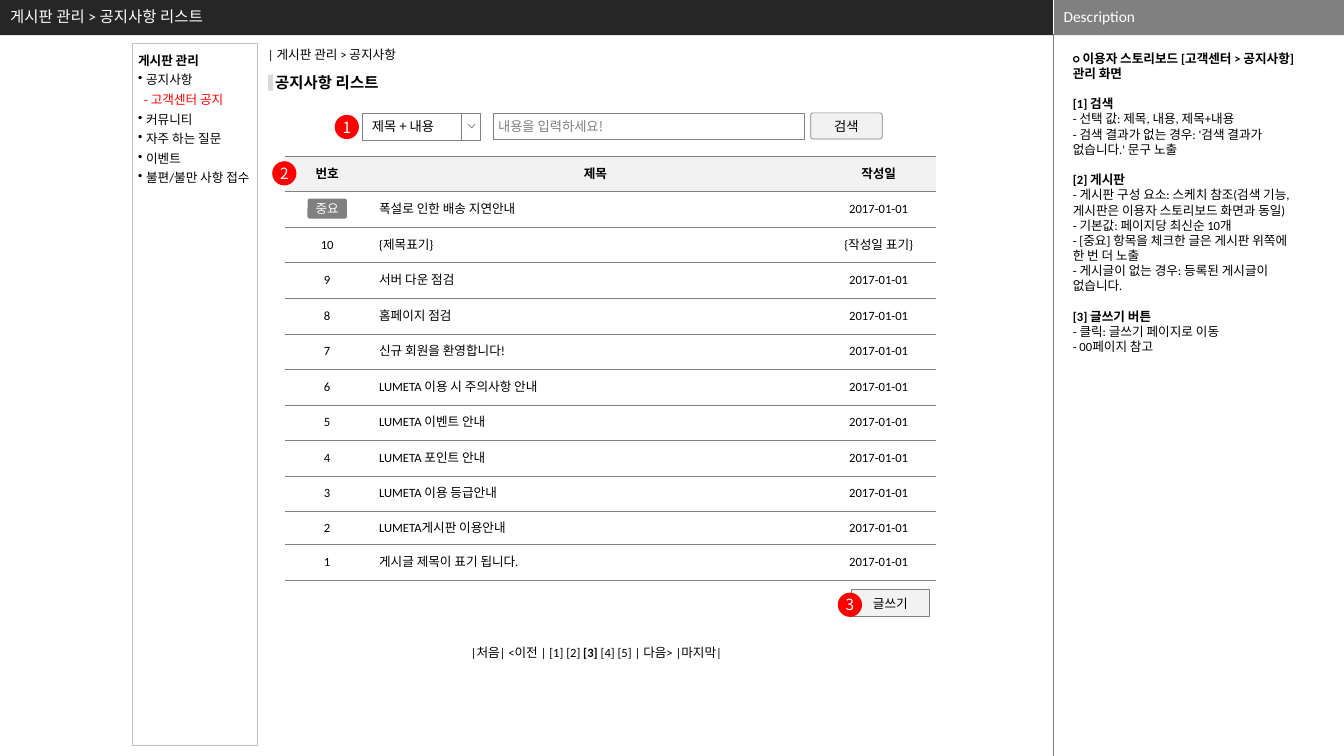
"""Build a storyboard slide for the notice list of a bulletin board admin page."""
from dataclasses import dataclass

from lxml import etree
from pptx import Presentation
from pptx import util as u
from pptx.dml.color import RGBColor
from pptx.enum import shapes, text
from pptx.oxml.ns import qn


@dataclass(frozen=True)
class Theme:
    latin: str = "Calibri"
    korean: str = "Noto Sans CJK KR"
    black: str = "000000"
    white: str = "FFFFFF"
    dark: str = "262626"
    gray: str = "808080"
    frame: str = "BFBFBF"
    marker: str = "D9D9D9"
    pale: str = "F2F2F2"
    red: str = "FF0000"
    small: float = 9
    field: float = 9.5
    large: float = 11
    hairline: float = 0.25
    thin: float = 0.5
    border: float = 0.75


theme = Theme()
kinds = shapes.MSO_SHAPE
middle, top = text.MSO_ANCHOR.MIDDLE, text.MSO_ANCHOR.TOP
left, center = text.PP_ALIGN.LEFT, text.PP_ALIGN.CENTER

deck = Presentation()
deck.slide_width, deck.slide_height = u.Inches(13.33), u.Inches(7.5)
page = deck.slides.add_slide(deck.slide_layouts[1])


def write(para, words, size=theme.small, color=theme.black, font=theme.latin, bold=False, align=left):
    para.alignment = align
    span = para.add_run()
    span.text = words
    span.font.size, span.font.bold, span.font.name = u.Pt(size), bold, font
    span.font.color.rgb = RGBColor.from_string(color)
    etree.SubElement(span.font._element, qn("a:ea"), typeface=font)


def add_box(place, kind=kinds.RECTANGLE, fill=None, line=None, width=theme.thin,
            margins=(0, 0), wrap=True, anchor=middle, corner=None):
    place = [u.Inches(value) for value in place]
    if kind is None:
        box = page.shapes.add_textbox(*place)
    else:
        box = page.shapes.add_shape(kind, *place)
        box.shadow.inherit = False
        if fill:
            box.fill.solid()
            box.fill.fore_color.rgb = RGBColor.from_string(fill)
        else:
            box.fill.background()
        if line:
            box.line.color.rgb = RGBColor.from_string(line)
            box.line.width = u.Pt(width)
        else:
            box.line.fill.background()
        if corner is not None:
            box.adjustments[0] = corner
    frame = box.text_frame
    frame.word_wrap, frame.vertical_anchor = wrap, anchor
    frame.margin_left = frame.margin_right = u.Inches(margins[0])
    frame.margin_top = frame.margin_bottom = u.Inches(margins[1])
    return box


split = 10.45
add_box((0, 0, split, 0.35), fill=theme.dark)
add_box((split, 0, 2.89, 0.35), fill=theme.gray)
for start, end, color in ((0, 0.35, theme.white), (0.34, 7.5, theme.gray)):
    divider = page.shapes.add_connector(shapes.MSO_CONNECTOR.STRAIGHT, u.Inches(split),
                                        u.Inches(start), u.Inches(split), u.Inches(end))
    divider.line.color.rgb = RGBColor.from_string(color)
    divider.line.width = u.Pt(theme.hairline)
    etree.SubElement(divider._element.spPr, qn("a:effectLst"))

title = page.shapes.title
title.left, title.top, title.width, title.height = map(u.Inches, (0, 0, 10.16, 0.35))
title.text_frame.auto_size = text.MSO_AUTO_SIZE.NONE
title.text_frame.vertical_anchor = middle
title.text_frame.paragraphs[0].line_spacing = 0.9
write(title.text_frame.paragraphs[0], "게시판 관리 > 공지사항 리스트", size=theme.large, color=theme.white)
title.element.getparent().append(title.element)

label = add_box((split, -0.01, 2.89, 0.35), None, margins=(0.1, 0.05))
write(label.text_frame.paragraphs[0], "Description", size=theme.large, color=theme.white)

notes = (
    "○ 이용자 스토리보드 [고객센터 > 공지사항] 관리 화면",
    "[1] 검색",
    "- 선택 값: 제목, 내용, 제목+내용",
    "- 검색 결과가 없는 경우: '검색 결과가 없습니다.' 문구 노출",
    "[2] 게시판",
    "- 게시판 구성 요소: 스케치 참조(검색 기능, 게시판은 이용자 스토리보드 화면과 동일)",
    "- 기본값: 페이지당 최신순 10개",
    "- [중요] 항목을 체크한 글은 게시판 위쪽에 한 번 더 노출",
    "- 게시글이 없는 경우: 등록된 게시글이 없습니다.",
    "[3] 글쓰기 버튼",
    "- 클릭: 글쓰기 페이지로 이동",
    "- 00페이지 참고",
)
body = page.placeholders[1]
body.left, body.top, body.width, body.height = map(u.Inches, (10.6, 0.5, 2.34, 7))
frame = body.text_frame
frame.auto_size, frame.vertical_anchor = text.MSO_AUTO_SIZE.NONE, top
frame.margin_left = frame.margin_right = u.Inches(0.04)
frame.margin_top = frame.margin_bottom = 0
for index, note in enumerate(notes):
    para = frame.add_paragraph() if index else frame.paragraphs[0]
    props = para._p.get_or_add_pPr()
    props.set("marL", "0")
    props.set("indent", "0")
    etree.SubElement(props, qn("a:buNone"))
    para.space_before = u.Pt(11 if note.startswith("[") else 0)
    write(para, note, bold=not note.startswith("-"))

trail = add_box((2.56, 0.42, 1.63, 0.25), None, margins=(0.1, 0.05), anchor=top)
write(trail.text_frame.paragraphs[0], "| 게시판 관리 > 공지사항")
heading = add_box((2.73, 0.73, 1.13, 0.19), None, anchor=top)
write(heading.text_frame.paragraphs[0], "공지사항 리스트", size=theme.large, bold=True)
add_box((2.66, 0.74, 0.05, 0.16), fill=theme.marker)

menu = add_box((1.31, 0.43, 1.24, 6.97), line=theme.frame, width=theme.border,
               margins=(0.06, 0.05), wrap=False, anchor=top)
menu.text_frame.margin_right = 0
entries = ("게시판 관리", "공지사항", "- 고객센터 공지", "커뮤니티", "자주 하는 질문", "이벤트", "불편/불만 사항 접수")
for index, entry in enumerate(entries):
    para = menu.text_frame.add_paragraph() if index else menu.text_frame.paragraphs[0]
    props = para._p.get_or_add_pPr()
    nested = entry.startswith("-")
    if nested:
        props.set("marL", str(u.Inches(0.06)))
    elif index:
        props.set("marL", str(u.Inches(0.08)))
        props.set("indent", str(-u.Inches(0.08)))
        etree.SubElement(props, qn("a:buChar"), char="•")
    para.line_spacing = u.Pt(14)
    write(para, entry, color=theme.red if nested else theme.black, bold=index == 0)

date = "2017-01-01"
subjects = ("서버 다운 점검", "홈페이지 점검", "신규 회원을 환영합니다!", "LUMETA 이용 시 주의사항 안내",
            "LUMETA 이벤트 안내", "LUMETA 포인트 안내", "LUMETA 이용 등급안내",
            "LUMETA게시판 이용안내", "게시글 제목이 표기 됩니다.")
rows = [("번호", "제목", "작성일"), ("", "폭설로 인한 배송 지연안내", date), ("10", "{제목표기}", "{작성일 표기}")]
rows += [(str(9 - index), subject, date) for index, subject in enumerate(subjects)]
board = page.shapes.add_table(len(rows), 3, *map(u.Inches, (2.83, 1.55, 6.45, 4.21))).table
board.first_row = board.horz_banding = False
for column, width in zip(board.columns, (0.83, 4.49, 1.13)):
    column.width = u.Inches(width)
short_row = 0.33
for r, values in enumerate(rows):
    board.rows[r].height = u.Inches(short_row if values[0] == "2" else (4.21 - short_row) / (len(rows) - 1))
    for c, value in enumerate(values):
        cell = board.cell(r, c)
        cell.vertical_anchor = middle
        cell.margin_top = cell.margin_bottom = 0
        if r == 0:
            cell.fill.solid()
            cell.fill.fore_color.rgb = RGBColor.from_string(theme.pale)
        else:
            cell.fill.background()
        if value:
            write(cell.text_frame.paragraphs[0], value, bold=r == 0, align=left if r and c == 1 else center)
        props = cell._tc.get_or_add_tcPr()
        for position, side in enumerate(("lnL", "lnR", "lnT", "lnB")):
            edge = etree.Element(qn(f"a:{side}"), w=str(u.Pt(theme.thin)))
            if position < 2:
                etree.SubElement(edge, qn("a:noFill"))
            else:
                paint = etree.SubElement(edge, qn("a:solidFill"))
                etree.SubElement(paint, qn("a:srgbClr"), val=theme.gray)
            props.insert(position, edge)

badge = add_box((3.05, 1.97, 0.39, 0.2), kinds.ROUNDED_RECTANGLE, theme.gray, wrap=False, corner=0.12)
write(badge.text_frame.paragraphs[0], "중요", color=theme.white, align=center)
pager = add_box((4.57, 6.35, 2.75, 0.4), None, margins=(0.1, 0.05), anchor=top)
for words, bold in (("|처음| <이전 | [1] [2] ", False), ("[3]", True), (" [4] [5] | 다음> |마지막|", False)):
    write(pager.text_frame.paragraphs[0], words, bold=bold)
button = add_box((8.44, 5.85, 0.78, 0.27), fill=theme.pale, line=theme.gray, wrap=False)
write(button.text_frame.paragraphs[0], "글쓰기", align=center)

field = dict(size=theme.field, font=theme.korean)
query = add_box((4.89, 1.12, 3.09, 0.26), line=theme.gray, margins=(0.05, 0))
write(query.text_frame.paragraphs[0], "내용을 입력하세요!", color=theme.gray, **field)
search = add_box((8.04, 1.12, 0.71, 0.26), kinds.ROUNDED_RECTANGLE, theme.pale, theme.gray, corner=0.1)
write(search.text_frame.paragraphs[0], "검색", align=center, **field)
choice = add_box((3.59, 1.12, 1, 0.27), fill=theme.white, line=theme.gray, margins=(0.1, 0))
write(choice.text_frame.paragraphs[0], "제목 + 내용", **field)
opener = add_box((4.58, 1.12, 0.18, 0.27), fill=theme.white, line=theme.gray)
outline = page.shapes.build_freeform(u.Inches(4.71), u.Inches(1.23))
outline.add_line_segments([(u.Inches(x), u.Inches(y)) for x, y in ((4.68, 1.27), (4.64, 1.23))], close=False)
chevron = outline.convert_to_shape()
chevron.shadow.inherit = False
chevron.fill.solid()
chevron.fill.fore_color.rgb = RGBColor.from_string(theme.white)
chevron.line.color.rgb = RGBColor.from_string(theme.gray)
chevron.line.width = u.Pt(theme.thin)
page.shapes.add_group_shape([choice, opener, chevron])

for number, x, y in (("3", 8.31, 5.88), ("2", 2.7, 1.6), ("1", 3.32, 1.14)):
    callout = add_box((x, y, 0.24, 0.24), kinds.OVAL, theme.red, wrap=False)
    write(callout.text_frame.paragraphs[0], number, size=theme.large, color=theme.white,
          font=theme.korean, align=center)

deck.save("out.pptx")
